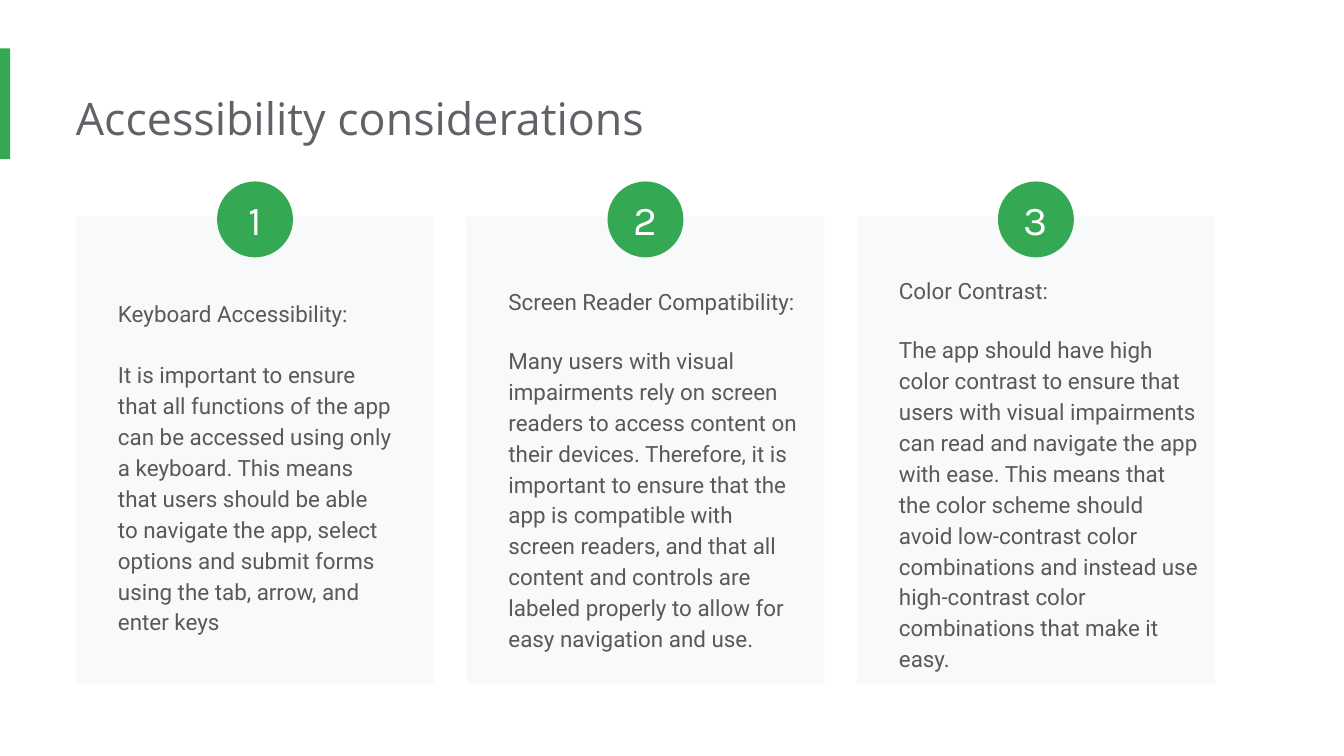
from pptx import Presentation
from pptx import util as u
from pptx.dml import color
from pptx.enum import shapes, text

PX = 4572
GREEN, PALE, WHITE = "34A853", "F8F9FA", "FFFFFF"
TITLE = {"name": "Open Sans", "size": u.Pt(24), "hue": "5F6368"}
BODY = {"name": "Roboto", "size": u.Pt(12), "hue": "595959"}
BADGE = {"name": "Karla", "size": u.Pt(22), "hue": WHITE}
CARDS = [
    (98, 448, 546, 16.5, "Keyboard Accessibility:",
     "It is important to ensure that all functions of the app can be accessed "
     "using only a keyboard. This means that users should be able to navigate "
     "the app, select options and submit forms using the tab, arrow, and enter keys"),
    (81, 474, 634, 15, "Screen Reader Compatibility:",
     "Many users with visual impairments rely on screen readers to access content "
     "on their devices. Therefore, it is important to ensure that the app is "
     "compatible with screen readers, and that all content and controls are "
     "labeled properly to allow for easy navigation and use."),
    (65, 490, 680, 15, "Color Contrast:",
     "The app should have high color contrast to ensure that users with visual "
     "impairments can read and navigate the app with ease. This means that the "
     "color scheme should avoid low-contrast color combinations and instead use "
     "high-contrast color combinations that make it easy."),
]


def rgb(hue):
    return color.RGBColor.from_string(hue)


def emu(*box):
    return [u.Emu(n * PX) for n in box]


def put(item, values):
    for key, value in values.items():
        if key == "hue":
            item.color.rgb = rgb(value)
        else:
            setattr(item, key, value)


def block(slide, kind, box, hue):
    shape = slide.shapes.add_shape(kind, *emu(*box))
    shape.shadow.inherit = False
    shape.fill.solid()
    shape.fill.fore_color.rgb = rgb(hue)
    shape.line.fill.background()
    return shape


def write(shape, lines, font, inset, frame={}, para={}, gap=0):
    body = shape.text_frame
    sides = ("margin_left", "margin_top", "margin_right", "margin_bottom")
    put(body, {"word_wrap": True, **dict(zip(sides, emu(*inset))), **frame})
    for i, line in enumerate(lines):
        part = body.add_paragraph() if i else body.paragraphs[0]
        put(part, para)
        if i:
            part.space_before = u.Pt(gap)
        run = part.add_run()
        run.text = line
        put(run.font, font)


def header(slide, x, y, w, h):
    block(slide, shapes.MSO_SHAPE.RECTANGLE, (x, y, 15, h), GREEN)
    label = slide.shapes.add_textbox(*emu(x + 113, y + 43, w - 113, 122))
    write(label, ["Accessibility considerations"], TITLE, (0, 20, 20, 20))


def card(slide, x, y, w, h, data):
    top, wide, high, gap, *lines = data
    block(slide, shapes.MSO_SHAPE.RECTANGLE, (x, y, w, h), PALE)
    label = slide.shapes.add_textbox(*emu(x + 43, y + top, wide, high))
    write(label, lines, BODY, [20] * 4, para={"line_spacing": 1.15}, gap=gap)


def badge(slide, x, y, size, num):
    dot = block(slide, shapes.MSO_SHAPE.OVAL, (x, y, size, size), GREEN)
    write(dot, [str(num)], BADGE, [0] * 4,
          {"vertical_anchor": text.MSO_ANCHOR.MIDDLE},
          {"alignment": text.PP_ALIGN.CENTER})


def main():
    deck = Presentation()
    deck.slide_width, deck.slide_height = emu(2000, 1125)
    slide = deck.slides.add_slide(deck.slide_layouts[6])
    header(slide, 0, 72, 1645, 165)
    wide, size, top = 533, 113, 322
    lefts = [113 + i * 581 for i in range(len(CARDS))]
    for x, data in zip(lefts, CARDS):
        card(slide, x, top, wide, 695, data)
    for num, x in enumerate(lefts, 1):
        badge(slide, x + (wide - size) // 2, top - 52, size, num)
    deck.save("out.pptx")


if __name__ == "__main__":
    main()
